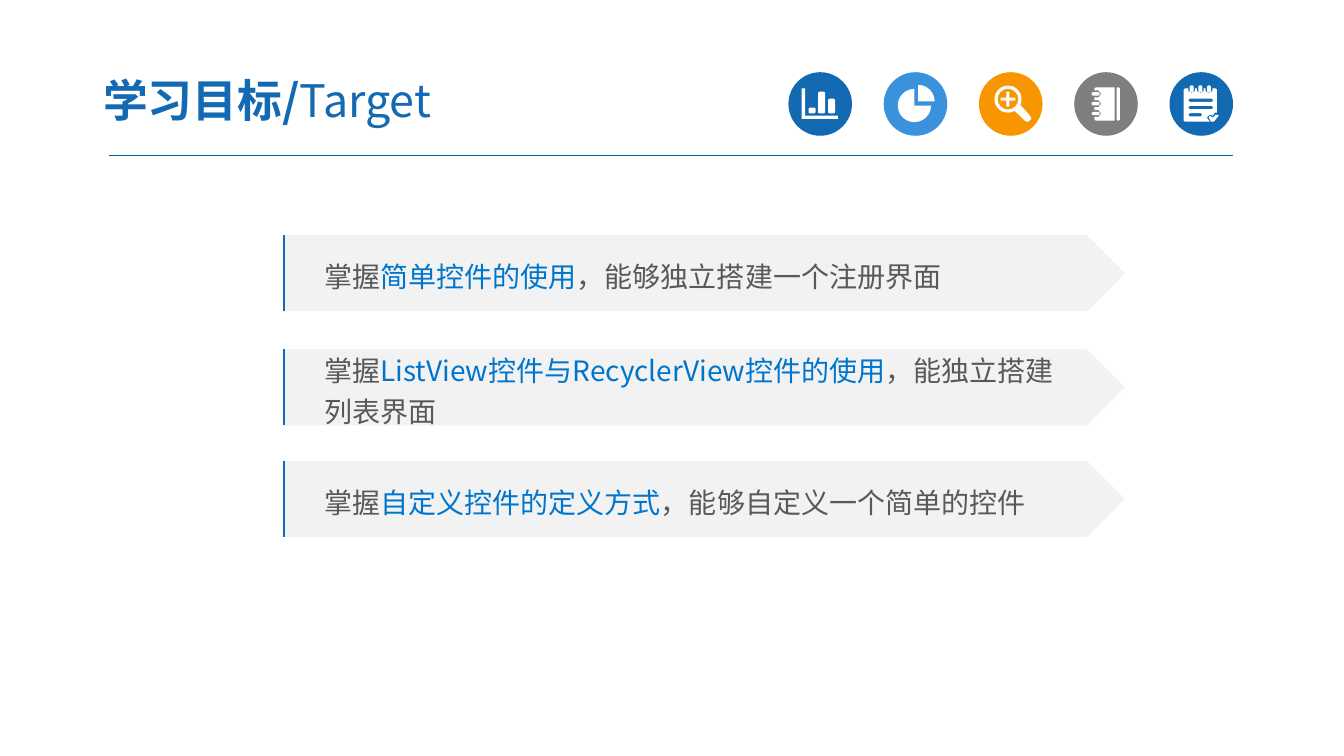
from math import cos, radians, sin

from lxml import etree
from pptx import Presentation
from pptx.dml.color import RGBColor
from pptx.enum import shapes as es, text as et
from pptx.oxml import ns
from pptx.util import Pt

HUES = {
    "blue": "1369B2", "sky": "3992DB", "gold": "F79600", "gray": "7F7F7F",
    "white": "FFFFFF", "rule": "005B9E", "band": "F2F2F2",
    "body": "595959", "key": "0075CC",
}
FONT = "Noto Sans CJK SC"
KIND = es.MSO_SHAPE


def hue(name):
    return RGBColor.from_string(HUES[name])


def paint(shape, fill):
    shape.shadow.inherit = False
    shape.fill.solid()
    shape.fill.fore_color.rgb = hue(fill)
    shape.line.fill.background()
    return shape


def part(slide, kind, box, fill):
    return paint(slide.shapes.add_shape(kind, *map(Pt, box)), fill)


def write(para, runs, size):
    """Fill a paragraph with (text, color, bold) runs."""
    for words, color, bold in runs:
        run = para.add_run()
        run.text = words
        font = run.font
        font.name, font.size, font.bold = FONT, Pt(size), bold
        font.color.rgb = hue(color)
        east = etree.SubElement(run._r.get_or_add_rPr(), ns.qn("a:ea"))
        east.set("typeface", FONT)


# Outlines: each is a list of points
def slab(x, y, w, h, cut=0.8):
    """Rectangle with clipped corners."""
    r, b = x + w, y + h
    return [(x + cut, y), (r - cut, y), (r, y + cut), (r, b - cut),
            (r - cut, b), (x + cut, b), (x, b - cut), (x, y + cut)]


def arc(x, y, size, start, end, count):
    step = (end - start) / count
    turns = [radians(start + step * i) for i in range(count + 1)]
    return [(x + size * cos(t), y + size * sin(t)) for t in turns]


# Icons: outlines relative to the corner of the badge
def bars():
    frame = [(9.4, 11.5), (12, 11.5), (12, 31), (35.3, 31), (35.3, 33.3),
             (9.4, 33.3)]
    return [frame] + [slab(x, y, 5, 29.5 - y) for x, y in
                      [(14.4, 25.2), (21.2, 13.9), (28.3, 18.9)]]


def pie():
    return [[(21.9, 23.8)] + arc(21.9, 23.8, 11.9, 0, 270, 18),
            [(24.5, 20.9)] + arc(24.5, 20.9, 11.9, -90, 0, 6)]


def lens():
    x, y, a, b = 20.7, 19.2, 5.3, 1.1
    plus = [(-a, -b), (-b, -b), (-b, -a), (b, -a), (b, -b), (a, -b),
            (a, b), (b, b), (b, a), (-b, a), (-b, b), (-a, b)]
    rim = arc(x, y, 9.7, 60, 385, 20)
    grip = [(36.5, 31.1), (37.4, 33.4), (35, 35.5), (33, 34.8)]
    return [rim + grip, arc(x, y, 7.4, 0, 360, 16),
            [(x + p, y + q) for p, q in plus]]


def book():
    mids = [15.5 + 7 * i for i in range(3)]
    page = [(28.8, 34.6), (28.8, 10.8), (15.4, 10.8), (14.4, 11.8)]
    for mid in mids:
        page += [(14.4, mid - 2.5), (17.3, mid - 2.5), (19.2, mid),
                 (17.3, mid + 2.5), (14.4, mid + 2.5)]
    page += [(14.4, 33.6), (15.4, 34.6)]
    return ([page, slab(30.2, 10.8, 2.4, 23.8)]
            + [slab(12.4, mid - 1.2, 5.8, 2.4) for mid in mids])


def notes():
    mids = [15.8 + 6.2 * i for i in range(3)]
    page = [(10.1, 12.5), (11, 11.5)]
    for mid in mids:
        page += [(mid - 2.4, 11.5), (mid - 2.4, 13.5), (mid, 15.1),
                 (mid + 2.4, 13.5), (mid + 2.4, 11.5)]
    page += [(33, 11.5), (33.9, 12.5), (33.9, 28.8), (32.4, 28.8),
             (30.9, 31), (28.8, 30.2), (26.6, 32.4), (28.8, 35.3),
             (11, 35.3), (10.1, 34.5)]
    lines = [slab(13.7, 18.9 + 5.2 * i, w, 2.3)
             for i, w in enumerate((17.3, 17.3, 9.4))]
    tick = [(34.6, 31.7), (31.7, 35.3), (29.5, 35.3), (28.1, 32.5),
            (28.8, 31), (30.9, 32.5), (33.1, 30.2), (35.3, 31)]
    return [page, tick] + lines + [slab(mid - 1.4, 9.4, 2.8, 5)
                                   for mid in mids]


def sign(slide, x, y, forms):
    """Draw all outlines of an icon as one white shape."""
    pen = None
    for form in forms:
        first, *rest = [(Pt(x + a), Pt(y + b)) for a, b in form]
        if pen is None:
            pen = slide.shapes.build_freeform(*first)
        else:
            pen.move_to(*first)
        pen.add_line_segments(rest, close=True)
    paint(pen.convert_to_shape(), "white")


def badges(slide, x, y, size, step):
    row = [("blue", bars), ("sky", pie), ("gold", lens),
           ("gray", book), ("blue", notes)]
    for i, (color, icon) in enumerate(row):
        left = x + step * i
        part(slide, KIND.OVAL, (left, y, size, size), color)
        sign(slide, left, y, icon())


def rule(slide, x, y, w):
    line = slide.shapes.add_connector(
        es.MSO_CONNECTOR.STRAIGHT, Pt(x), Pt(y), Pt(x + w), Pt(y))
    line.line.color.rgb = hue("rule")
    line.line.width = Pt(0.75)
    etree.SubElement(line._element.spPr, ns.qn("a:effectLst"))


def title(slide, x, y, w, h):
    frame = slide.shapes.add_textbox(*map(Pt, (x, y, w, h))).text_frame
    frame.word_wrap = True
    frame.vertical_anchor = et.MSO_ANCHOR.MIDDLE
    frame.margin_left = frame.margin_right = Pt(9.6)
    frame.margin_top = frame.margin_bottom = Pt(4.8)
    write(frame.paragraphs[0], [("学习目标/", "blue", True),
                                ("Target", "blue", False)], 32)


def edge(slide, x, y, w, h):
    """Upright stroke on the left side of its box."""
    pen = slide.shapes.build_freeform(Pt(x), Pt(y + h))
    pen.add_line_segments([(Pt(x), Pt(y))], close=False)
    stroke = pen.convert_to_shape()
    stroke.shadow.inherit = False
    stroke.fill.background()
    stroke.line.color.rgb = hue("blue")
    stroke.line.width = Pt(1.5)
    stroke.width = Pt(w)
    track = next(stroke._element.iter(ns.qn("a:path")))
    track.set("w", str(Pt(w)))


def goal(slide, x, y, w, h, lines):
    """Arrow band with a blue edge on its left."""
    frame = part(slide, KIND.PENTAGON, (x, y, w, h), "band").text_frame
    frame.word_wrap = True
    frame.vertical_anchor = et.MSO_ANCHOR.MIDDLE
    frame.margin_left = Pt(29.3)
    frame.margin_right = Pt(4)
    for i, runs in enumerate(lines):
        para = frame.add_paragraph() if i else frame.paragraphs[0]
        para.alignment = et.PP_ALIGN.LEFT
        para.line_spacing = 1.2
        write(para, [(words, color, False) for words, color in runs], 20)
    edge(slide, x + 0.7, y, 9.4, h)


def main():
    deck = Presentation()
    deck.slide_width, deck.slide_height = Pt(960), Pt(540)
    slide = deck.slides.add_slide(deck.slide_layouts[6])

    # Header
    rule(slide, 77.8, 111.3, 802.8)
    badges(slide, 563.2, 51.6, 45.4, 68.05)
    title(slide, 64.1, 45.4, 375.8, 51.8)

    # Goals
    goals = [
        (168, [[("掌握", "body"), ("简单控件的使用", "key"),
                ("，能够独立搭建一个注册界面", "body")]]),
        (249.6, [[("掌握", "body"),
                  ("ListView控件与RecyclerView控件的使用", "key"),
                  ("，能独立搭建", "body")],
                 [("列表界面", "body")]]),
        (329.4, [[("掌握", "body"), ("自定义控件的定义方式", "key"),
                  ("，能够自定义一个简单的控件", "body")]]),
    ]
    for top, lines in goals:
        goal(slide, 202.3, top, 601.2, 54.2, lines)

    deck.save("out.pptx")


if __name__ == "__main__":
    main()
